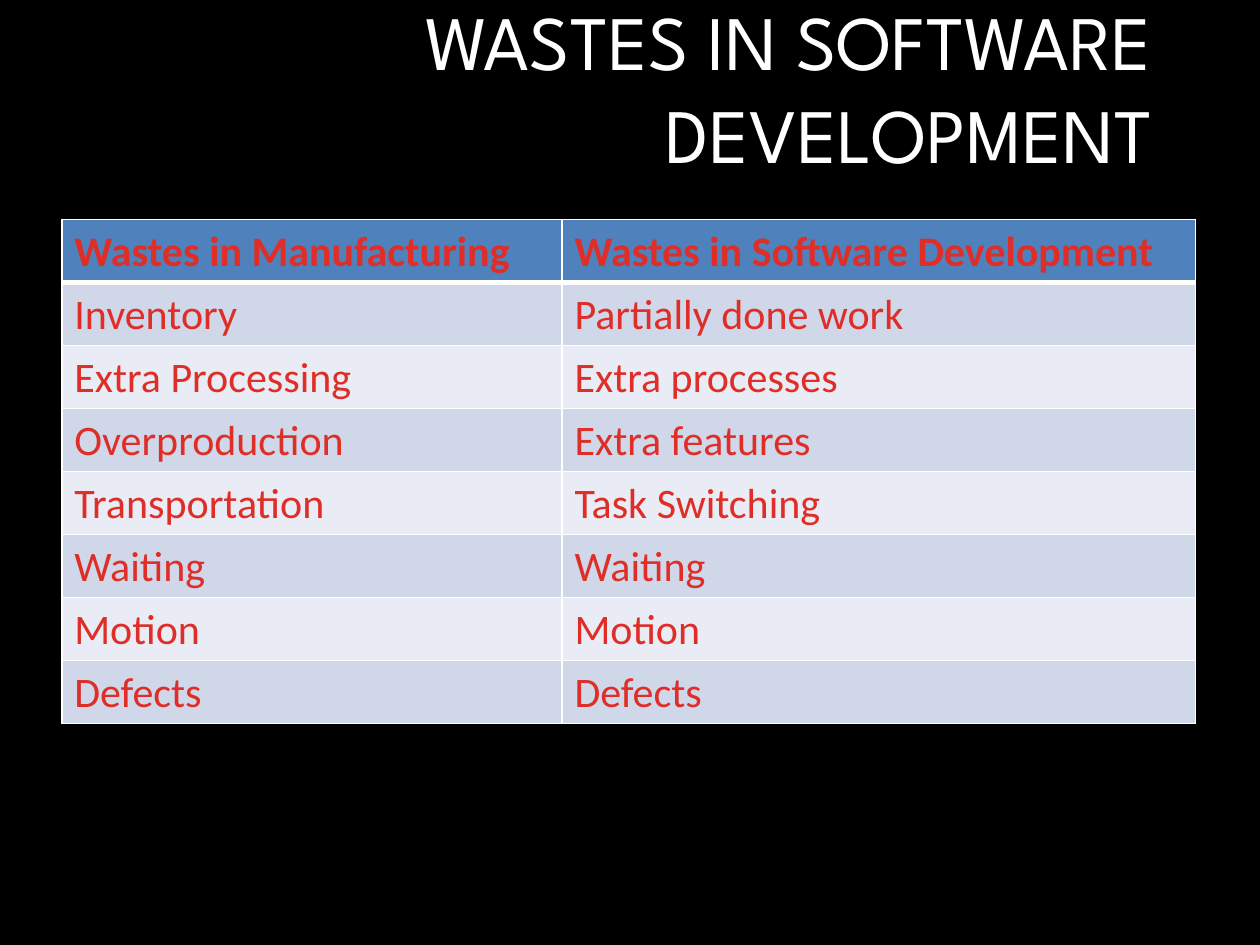
from dataclasses import dataclass

from lxml.etree import SubElement
from pptx import Presentation
from pptx.dml.color import RGBColor
from pptx.enum.text import MSO_ANCHOR, MSO_AUTO_SIZE, PP_ALIGN
from pptx.oxml.ns import qn
from pptx.util import Inches, Pt


@dataclass(frozen=True)
class Theme:
    background: str = "000000"
    title_color: str = "FFFFFF"
    title_font: str = "League Spartan"
    title_size: int = 44
    table_color: str = "DF2E28"
    table_font: str = "Calibri"
    table_size: int = 24
    header_fill: str = "4F81BC"
    band_fills: tuple = ("D0D7E8", "E9ECF4")
    border: str = "FFFFFF"
    thin: int = 1
    thick: int = 3


THEME = Theme()

WASTES = [
    ("Wastes in Manufacturing", "Wastes in Software Development"),
    ("Inventory", "Partially done work"),
    ("Extra Processing", "Extra processes"),
    ("Overproduction", "Extra features"),
    ("Transportation", "Task Switching"),
    ("Waiting", "Waiting"),
    ("Motion", "Motion"),
    ("Defects", "Defects"),
]


def style_font(font, name, size, color, bold=False):
    font.name = name
    font.size = Pt(size)
    font.bold = bold
    font.color.rgb = RGBColor.from_string(color)


def set_margins(area, left, top):
    area.margin_left, area.margin_top = Inches(left), Inches(top)
    area.margin_right = area.margin_bottom = 0


def add_title(slide, box, text):
    title = slide.shapes.title
    title.left, title.top, title.width, title.height = map(Inches, box)
    frame = title.text_frame
    frame.text = text
    frame.word_wrap = True
    frame.auto_size = MSO_AUTO_SIZE.SHAPE_TO_FIT_TEXT
    frame.vertical_anchor = MSO_ANCHOR.MIDDLE
    set_margins(frame, 0, 0.01)
    heading = frame.paragraphs[0]
    heading.alignment = PP_ALIGN.RIGHT
    style_font(heading.runs[0].font, THEME.title_font, THEME.title_size,
               THEME.title_color)


def set_borders(cell, row):
    # The rule between the header and the first row is thicker
    widths = {
        "L": THEME.thin,
        "R": THEME.thin,
        "T": THEME.thick if row == 1 else THEME.thin,
        "B": THEME.thick if row == 0 else THEME.thin,
    }
    properties = cell._tc.get_or_add_tcPr()
    for side, width in widths.items():
        line = SubElement(properties, qn(f"a:ln{side}"), w=str(Pt(width)))
        fill = SubElement(line, qn("a:solidFill"))
        SubElement(fill, qn("a:srgbClr"), val=THEME.border)


def add_wastes_table(slide, box, rows, column_widths):
    table = slide.shapes.add_table(len(rows), len(column_widths),
                                   *map(Inches, box)).table
    for column, width in zip(table.columns, column_widths):
        column.width = Inches(width)
    for row, entries in enumerate(rows):
        header = row == 0
        fill = THEME.header_fill if header else THEME.band_fills[(row - 1) % 2]
        for column, entry in enumerate(entries):
            cell = table.cell(row, column)
            cell.text_frame.text = entry
            set_margins(cell, 0.1, 0.06)
            set_borders(cell, row)
            cell.fill.solid()
            cell.fill.fore_color.rgb = RGBColor.from_string(fill)
            style_font(cell.text_frame.paragraphs[0].runs[0].font,
                       THEME.table_font, THEME.table_size,
                       THEME.table_color, header)


def main():
    deck = Presentation()
    deck.slide_width, deck.slide_height = Inches(10), Inches(7.5)
    slide = deck.slides.add_slide(deck.slide_layouts[5])
    slide.background.fill.solid()
    slide.background.fill.fore_color.rgb = RGBColor.from_string(THEME.background)

    add_title(slide, (0.86, 0.3, 8.29, 0.76), "WASTES IN SOFTWARE DEVELOPMENT")
    add_wastes_table(slide, (0.49, 1.74, 9, 4), WASTES, (3.97, 5.03))
    deck.save("out.pptx")


if __name__ == "__main__":
    main()
